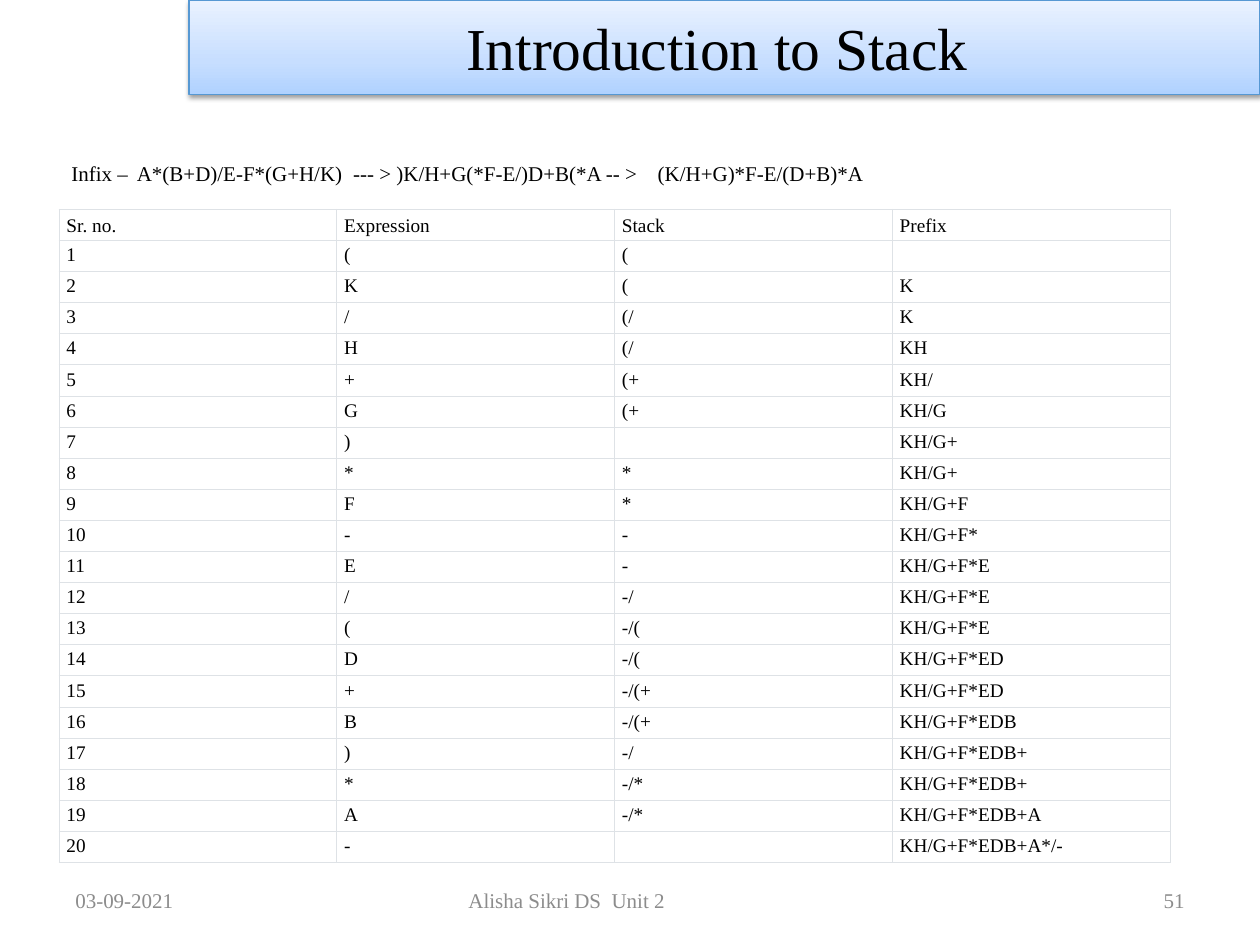
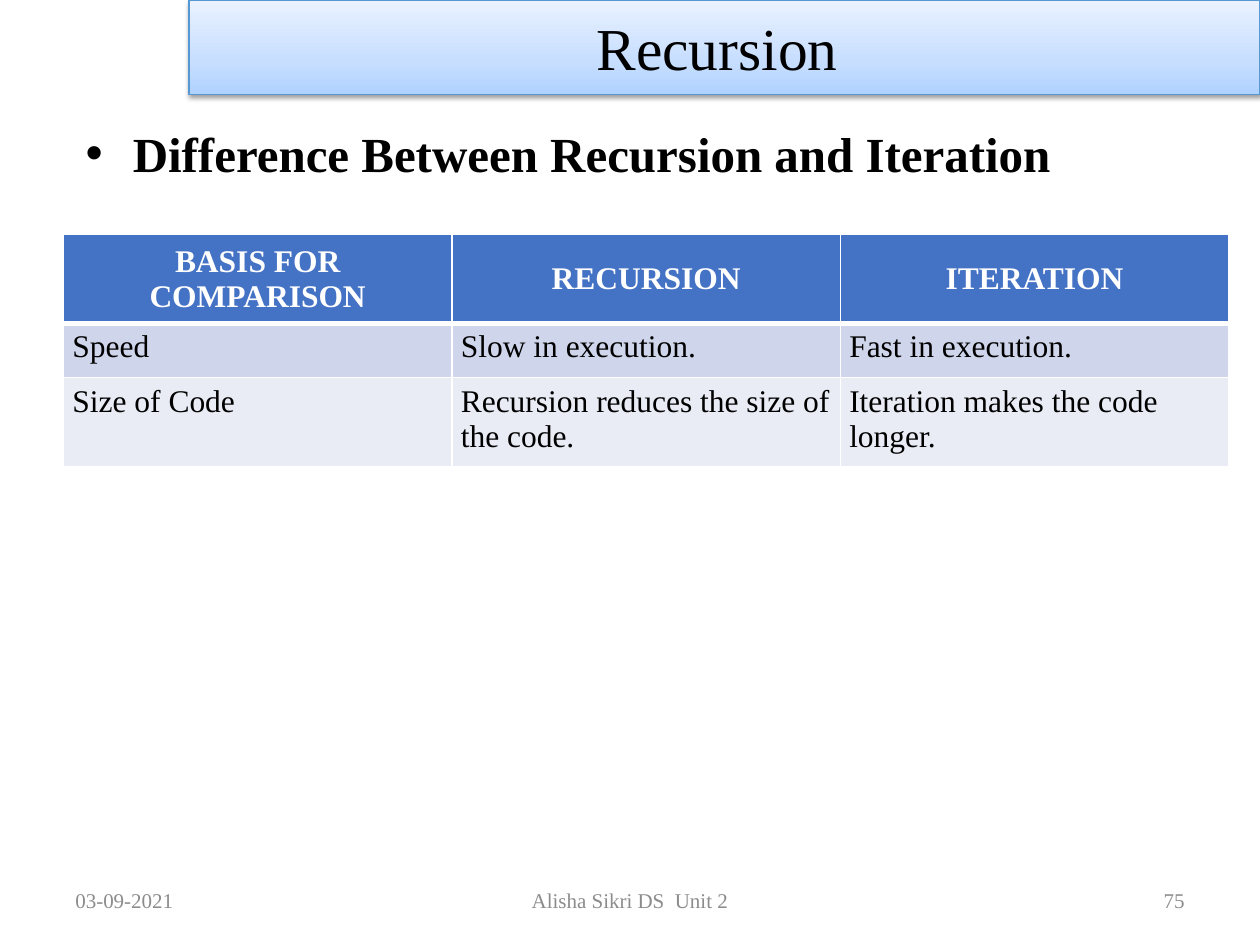
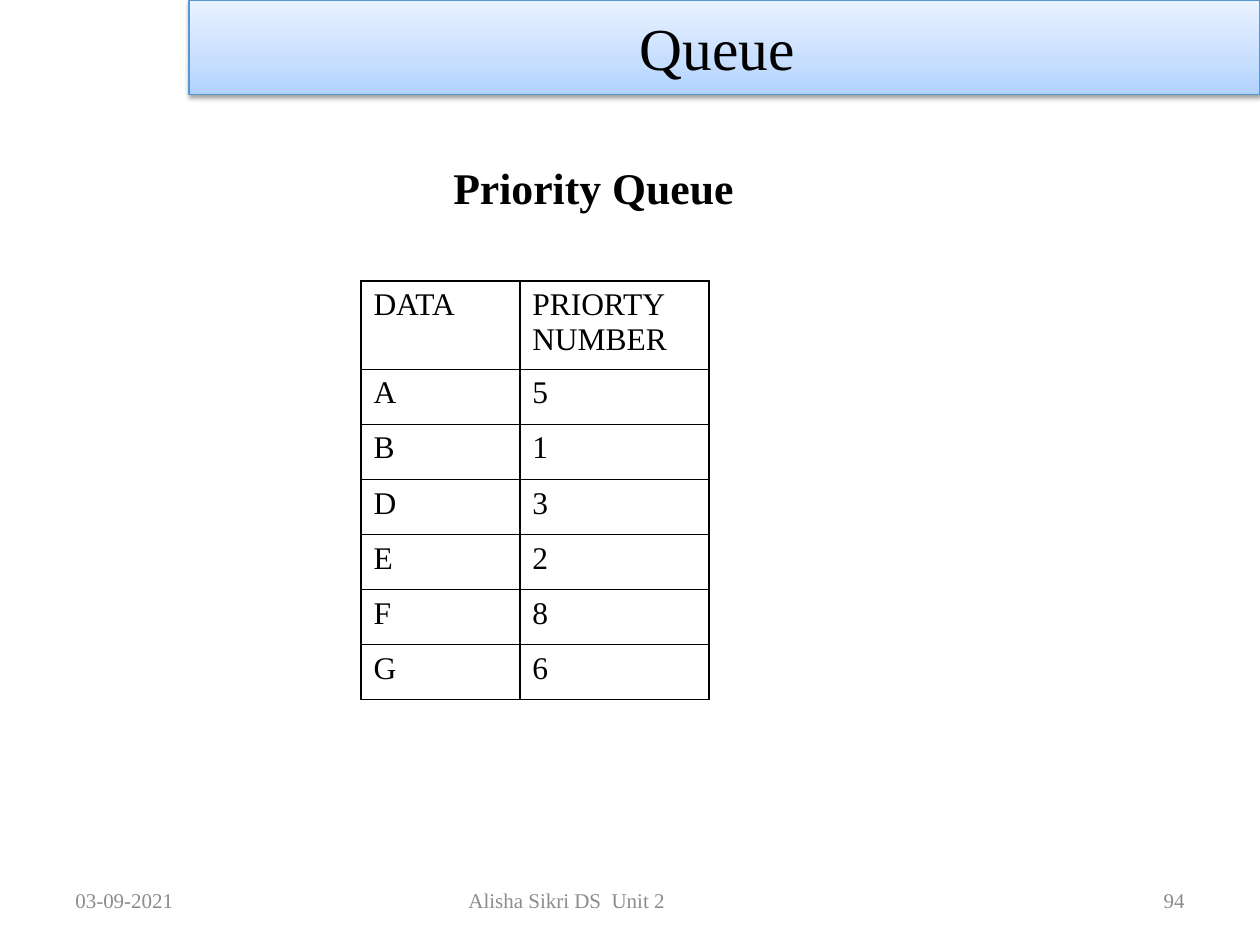
"""Build three data structure slides: stack conversion, recursion and priority queue."""

from copy import deepcopy
from dataclasses import dataclass

from lxml.etree import SubElement
from pptx import Presentation
from pptx.dml.color import RGBColor
from pptx.enum.text import MSO_ANCHOR, MSO_AUTO_SIZE, PP_ALIGN
from pptx.oxml.ns import qn
from pptx.util import Cm, Pt

FONT = "Times New Roman"
BLACK = RGBColor(0x00, 0x00, 0x00)
WHITE = RGBColor(0xFF, 0xFF, 0xFF)
FOOTER_GREY = RGBColor(0x8C, 0x8C, 0x8C)
GRID_GREY = RGBColor(0xDE, 0xE2, 0xE6)
HEADER_BLUE = RGBColor(0x44, 0x72, 0xC4)
BAND_DARK = RGBColor(0xCF, 0xD5, 0xEA)
BAND_LIGHT = RGBColor(0xE9, 0xEB, 0xF5)
TITLE_LINE = RGBColor(0x56, 0x98, 0xD3)
TITLE_STOPS = (
    (0, RGBColor(0xB0, 0xD2, 0xFF)),
    (0.35, RGBColor(0xC7, 0xDE, 0xFF)),
    (1, RGBColor(0xEA, 0xF2, 0xFF)),
)

TITLE_AND_CONTENT = 1
TITLE_ONLY = 5

CONVERSION_STEPS = (
    ("(", "(", ""),
    ("K", "(", "K"),
    ("/", "(/", "K"),
    ("H", "(/", "KH"),
    ("+", "(+", "KH/"),
    ("G", "(+", "KH/G"),
    (")", "", "KH/G+"),
    ("*", "*", "KH/G+"),
    ("F", "*", "KH/G+F"),
    ("-", "-", "KH/G+F*"),
    ("E", "-", "KH/G+F*E"),
    ("/", "-/", "KH/G+F*E"),
    ("(", "-/(", "KH/G+F*E"),
    ("D", "-/(", "KH/G+F*ED"),
    ("+", "-/(+", "KH/G+F*ED"),
    ("B", "-/(+", "KH/G+F*EDB"),
    (")", "-/", "KH/G+F*EDB+"),
    ("*", "-/*", "KH/G+F*EDB+"),
    ("A", "-/*", "KH/G+F*EDB+A"),
    ("-", "", "KH/G+F*EDB+A*/-"),
)


@dataclass(frozen=True)
class Box:
    """Position and size in centimetres."""

    left: float
    top: float
    width: float
    height: float

    def lengths(self) -> tuple:
        """Return the four values as lengths."""
        return Cm(self.left), Cm(self.top), Cm(self.width), Cm(self.height)


@dataclass(frozen=True)
class TextStyle:
    """Look of one paragraph."""

    size: float
    color: RGBColor = BLACK
    bold: bool = False
    align: PP_ALIGN = PP_ALIGN.LEFT


@dataclass(frozen=True)
class TableStyle:
    """Look of a table; fills hold the header and then the alternating rows."""

    body: TextStyle
    header: TextStyle
    border: RGBColor
    border_width: float
    rule_width: float
    margins: tuple
    fills: tuple = ()
    header_anchor: MSO_ANCHOR = MSO_ANCHOR.TOP


TITLE_BOX = Box(3.81, 0, 21.59, 1.9)
NARROW_FOOTER = Box(8.68, 17.65, 8.04, 1.01)
WIDE_FOOTER = Box(6.99, 17.65, 13.97, 1.01)
TITLE_TEXT = TextStyle(34, align=PP_ALIGN.CENTER)
FOOTER_LEFT = TextStyle(12, FOOTER_GREY)
FOOTER_CENTER = TextStyle(12, FOOTER_GREY, align=PP_ALIGN.CENTER)
FOOTER_RIGHT = TextStyle(12, FOOTER_GREY, align=PP_ALIGN.RIGHT)

CONVERSION_STYLE = TableStyle(
    TextStyle(11), TextStyle(11), GRID_GREY, 0.6, 0.6, (0.15, 0.08),
    (WHITE, WHITE, WHITE), MSO_ANCHOR.BOTTOM,
)
COMPARISON_STYLE = TableStyle(
    TextStyle(18), TextStyle(18, WHITE, True, PP_ALIGN.CENTER), WHITE, 1, 3, (0.18, 0.13),
    (HEADER_BLUE, BAND_DARK, BAND_LIGHT), MSO_ANCHOR.MIDDLE,
)
PRIORITY_STYLE = TableStyle(TextStyle(18), TextStyle(18), BLACK, 1, 1, (0.25, 0.13))


def write(paragraph, text: str, style: TextStyle) -> None:
    """Write one styled run, or size the empty paragraph."""
    paragraph.alignment = style.align
    if not text:
        SubElement(paragraph._p, qn("a:endParaRPr"), sz=str(int(style.size * 100)))
        return
    run = paragraph.add_run()
    run.text = text
    run.font.name = FONT
    run.font.size = Pt(style.size)
    run.font.bold = style.bold
    run.font.color.rgb = style.color


def add_text(slide, box: Box, text: str, style: TextStyle, anchor=MSO_ANCHOR.TOP):
    """Add a wrapping text box and return its frame."""
    frame = slide.shapes.add_textbox(*box.lengths()).text_frame
    frame.word_wrap = True
    frame.vertical_anchor = anchor
    write(frame.paragraphs[0], text, style)
    return frame


def style_title_band(title) -> None:
    """Give the title its gradient, outline and soft shadow."""
    title.left, title.top, title.width, title.height = TITLE_BOX.lengths()
    title.fill.gradient()
    title.fill.gradient_angle = 90
    properties = title._element.spPr
    stop_list = properties.find(qn("a:gradFill")).find(qn("a:gsLst"))
    stop_list.append(deepcopy(stop_list[-1]))
    for stop, (position, color) in zip(title.fill.gradient_stops, TITLE_STOPS):
        stop.position = position
        stop.color.rgb = color
    title.line.color.rgb = TITLE_LINE
    title.line.width = Pt(0.75)
    title.shadow.inherit = False
    shadow = SubElement(
        properties.find(qn("a:effectLst")), qn("a:outerShdw"),
        blurRad=str(Pt(3.1)), dist=str(Pt(1.6)), dir="5400000", rotWithShape="0",
    )
    color = SubElement(shadow, qn("a:srgbClr"), val=str(BLACK))
    SubElement(color, qn("a:alpha"), val="38000")


def add_slide(presentation, layout: int, title_text: str, number: str, footer_box: Box):
    """Add a slide with its title band and footers."""
    slide = presentation.slides.add_slide(presentation.slide_layouts[layout])
    title = slide.shapes.title
    style_title_band(title)
    frame = title.text_frame
    frame.auto_size = MSO_AUTO_SIZE.NONE
    frame.vertical_anchor = MSO_ANCHOR.MIDDLE
    frame.margin_right = Cm(0.55)
    write(frame.paragraphs[0], title_text, TITLE_TEXT)

    middle = MSO_ANCHOR.MIDDLE
    add_text(slide, Box(1.27, 17.65, 5.93, 1.01), "03-09-2021", FOOTER_LEFT, middle)
    footer = add_text(slide, footer_box, "Alisha Sikri DS  Unit 2", FOOTER_CENTER, middle)
    footer.margin_right = Cm(2.8)
    add_text(slide, Box(18.2, 17.65, 5.93, 1.01), number, FOOTER_RIGHT, middle)
    return slide


def set_borders(cell, row_index: int, style: TableStyle) -> None:
    """Draw the four borders of a cell, with the rule below the header."""
    widths = {
        "a:lnL": style.border_width,
        "a:lnR": style.border_width,
        "a:lnT": style.rule_width if row_index == 1 else style.border_width,
        "a:lnB": style.rule_width if row_index == 0 else style.border_width,
    }
    properties = cell._tc.get_or_add_tcPr()
    for tag, width in widths.items():
        line = SubElement(properties, qn(tag), w=str(Pt(width)))
        fill = SubElement(line, qn("a:solidFill"))
        SubElement(fill, qn("a:srgbClr"), val=str(style.border))


def style_cell(cell, text: str, row_index: int, style: TableStyle) -> None:
    """Fill one cell with text, borders and colour."""
    set_borders(cell, row_index, style)
    if style.fills:
        cell.fill.solid()
        fill_index = 0 if row_index == 0 else 2 - row_index % 2
        cell.fill.fore_color.rgb = style.fills[fill_index]
    else:
        cell.fill.background()
    horizontal, vertical = style.margins
    cell.margin_left = cell.margin_right = Cm(horizontal)
    cell.margin_top = cell.margin_bottom = Cm(vertical)
    cell.vertical_anchor = style.header_anchor if row_index == 0 else MSO_ANCHOR.TOP
    write(cell.text_frame.paragraphs[0], text, style.header if row_index == 0 else style.body)


def add_table(slide, left: float, top: float, widths: tuple, heights: tuple,
              rows: tuple, style: TableStyle) -> None:
    """Add a table from column widths, row heights and cell texts."""
    box = Box(left, top, sum(widths), sum(heights))
    table = slide.shapes.add_table(len(rows), len(widths), *box.lengths()).table
    table.first_row = False
    table.horz_banding = False
    for column, width in zip(table.columns, widths):
        column.width = Cm(width)
    for row_index, (row, height, texts) in enumerate(zip(table.rows, heights, rows)):
        row.height = Cm(height)
        for cell, text in zip(row.cells, texts):
            style_cell(cell, text, row_index, style)


def build_stack_slide(presentation) -> None:
    """Show the infix to prefix conversion step by step."""
    slide = add_slide(presentation, TITLE_ONLY, "Introduction to Stack", "51", NARROW_FOOTER)
    expression = "Infix –\tA*(B+D)/E-F*(G+H/K)\t--- > )K/H+G(*F-E/)D+B(*A -- >\t(K/H+G)*F-E/(D+B)*A"
    frame = add_text(slide, Box(1.19, 3.12, 22.1, 0.77), expression, TextStyle(12))
    tabs = SubElement(frame.paragraphs[0]._p.get_or_add_pPr(), qn("a:tabLst"))
    for position in (1.32, 5.68, 11.82):
        SubElement(tabs, qn("a:tab"), pos=str(Cm(position)), algn="l")
    header = ("Sr. no.", "Expression", "Stack", "Prefix")
    steps = tuple((str(number), *step) for number, step in enumerate(CONVERSION_STEPS, 1))
    rows = (header, *steps)
    add_table(slide, 1.19, 4.22, (5.6,) * 4, (0.6,) * len(rows), rows, CONVERSION_STYLE)


def build_recursion_slide(presentation) -> None:
    """Compare recursion with iteration."""
    slide = add_slide(presentation, TITLE_AND_CONTENT, "Recursion", "75", WIDE_FOOTER)
    body = slide.placeholders[1]
    body.left, body.top, body.width, body.height = Box(1.47, 2.36, 22.86, 12.57).lengths()
    body.text_frame.auto_size = MSO_AUTO_SIZE.NONE
    paragraph = body.text_frame.paragraphs[0]
    paragraph.space_before = Pt(0)
    write(paragraph, "Difference Between Recursion and Iteration", TextStyle(28, bold=True))
    rows = (
        ("BASIS FOR COMPARISON", "RECURSION", "ITERATION"),
        ("Speed", "Slow in execution.", "Fast in execution."),
        ("Size of Code", "Recursion reduces the size of the code.", "Iteration makes the code longer."),
    )
    add_table(slide, 1.28, 4.73, (7.83,) * 3, (1.73, 1.1, 1.73), rows, COMPARISON_STYLE)


def build_queue_slide(presentation) -> None:
    """List the entries of a priority queue."""
    slide = add_slide(presentation, TITLE_ONLY, "Queue", "94", NARROW_FOOTER)
    add_text(slide, Box(8.89, 3.12, 12.78, 1.32), "Priority Queue", TextStyle(25, bold=True))
    rows = (("DATA", "PRIORTY NUMBER"), *zip("ABDEFG", "513286"))
    heights = (1.78,) + (1.11,) * 6
    add_table(slide, 7.28, 5.66, (3.2, 3.81), heights, rows, PRIORITY_STYLE)


def main() -> None:
    """Build and save the presentation."""
    presentation = Presentation()
    presentation.slide_width = Cm(25.4)
    presentation.slide_height = Cm(19.05)
    build_stack_slide(presentation)
    build_recursion_slide(presentation)
    build_queue_slide(presentation)
    presentation.save("out.pptx")


if __name__ == "__main__":
    main()
